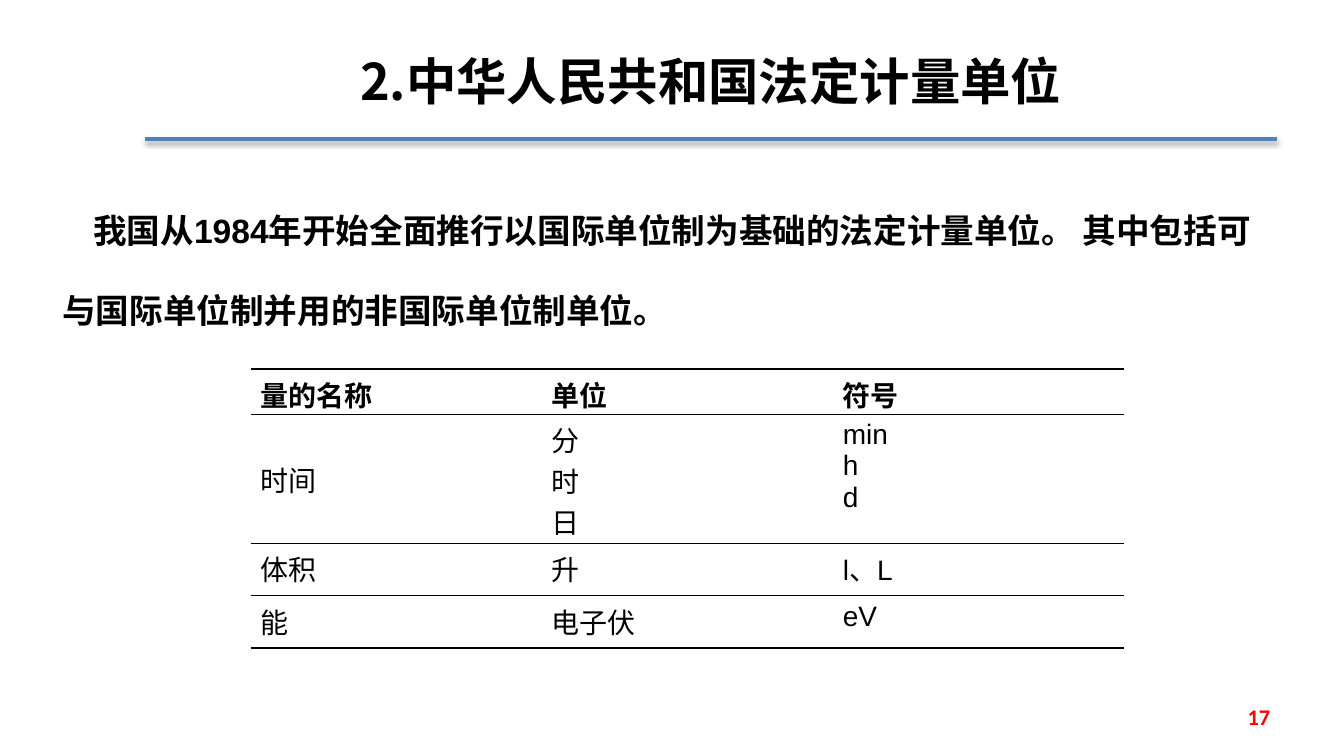
from dataclasses import dataclass

from lxml.etree import SubElement
from pptx import Presentation
from pptx.dml.color import RGBColor
from pptx.enum.shapes import MSO_CONNECTOR as Connector
from pptx.enum.text import MSO_ANCHOR as Anchor, PP_ALIGN as Align
from pptx.oxml import parse_xml
from pptx.oxml.ns import nsdecls, qn
from pptx.util import Cm, Pt


@dataclass(frozen=True)
class Theme:
    ink: str = "000000"
    rule: str = "4F81BD"
    accent: str = "FF0000"
    cjk_font: str = "Noto Sans CJK SC"
    body_font: str = "Arial"
    number_font: str = "Calibri"
    title_size: int = 36
    body_size: int = 24
    table_size: int = 20
    number_size: int = 16
    thick: float = 2.25
    thin: float = 1


class SlideBuilder:
    def __init__(self, slide, theme):
        self.slide, self.theme = slide, theme

    def style(self, paragraph, font, size, color, bold=True):
        paragraph.font.name = font
        paragraph.font.size = Pt(size)
        paragraph.font.bold = bold
        paragraph.font.color.rgb = RGBColor.from_string(color)
        properties = paragraph.font._element
        SubElement(properties, qn("a:ea")).set("typeface", self.theme.cjk_font)

    def title(self, text, left, top, width, height):
        title = self.slide.shapes.title
        title.left, title.top, title.width, title.height = left, top, width, height
        title.text_frame.text = text
        title.text_frame.vertical_anchor = Anchor.MIDDLE
        heading = title.text_frame.paragraphs[0]
        heading.alignment = Align.CENTER
        heading.line_spacing = 1.1
        self.style(heading, self.theme.cjk_font, self.theme.title_size, self.theme.ink)

    def rule(self, left, top, width):
        line = self.slide.shapes.add_connector(
            Connector.STRAIGHT, left, top, left + width, top)
        line.line.color.rgb = RGBColor.from_string(self.theme.rule)
        line.line.width = Pt(3)
        line._element.spPr.append(parse_xml(
            f'<a:effectLst {nsdecls("a")}><a:outerShdw blurRad="{Pt(3.1)}" '
            f'dist="{Pt(1.8)}" dir="5400000" rotWithShape="0">'
            '<a:srgbClr val="000000"><a:alpha val="35000"/></a:srgbClr>'
            '</a:outerShdw></a:effectLst>'))

    def text(self, text, left, top, width, height, font, size, color,
             align=Align.LEFT, anchor=Anchor.TOP, spacing=1.0, indent=0):
        frame = self.slide.shapes.add_textbox(left, top, width, height).text_frame
        frame.word_wrap = True
        frame.vertical_anchor = anchor
        frame.text = text
        paragraph = frame.paragraphs[0]
        paragraph.alignment = align
        paragraph.line_spacing = spacing
        if indent:
            paragraph._p.get_or_add_pPr().set("indent", str(indent))
        self.style(paragraph, font, size, color)

    def border(self, cell, side, width):
        line = SubElement(cell._tc.get_or_add_tcPr(), qn(f"a:ln{side}"))
        line.set("w", str(Pt(width)))
        if width:
            fill = SubElement(line, qn("a:solidFill"))
            SubElement(fill, qn("a:srgbClr")).set("val", self.theme.ink)
        else:
            SubElement(line, qn("a:noFill"))

    def table(self, rows, heights, left, top, width):
        theme = self.theme
        table = self.slide.shapes.add_table(
            len(rows), len(rows[0]), left, top, width, sum(heights)).table
        table.first_row = table.horz_banding = False
        last = len(rows) - 1
        for r, (row, height) in enumerate(zip(rows, heights)):
            table.rows[r].height = height
            for c, text in enumerate(row):
                cell = table.cell(r, c)
                cell.text = text
                for paragraph in cell.text_frame.paragraphs:
                    self.style(paragraph, theme.body_font, theme.table_size,
                               theme.ink, bold=r == 0)
                borders = {"L": 0, "R": 0,
                           "T": theme.thick if r == 0 else theme.thin,
                           "B": theme.thick if r == last else theme.thin}
                for side, weight in borders.items():
                    self.border(cell, side, weight)
                cell.fill.background()
        return table


def main():
    theme = Theme()
    deck = Presentation()
    deck.slide_width, deck.slide_height = Cm(33.87), Cm(19.05)
    slide = deck.slides.add_slide(deck.slide_layouts[5])
    builder = SlideBuilder(slide, theme)

    # Heading and its rule
    builder.rule(Cm(3.66), Cm(3.51), Cm(28.52))
    builder.title("2.中华人民共和国法定计量单位", Cm(3.66), Cm(0.36), Cm(28.5), Cm(3.18))

    # Page number
    builder.text("17", Cm(26.34), Cm(17.55), Cm(5.92), Cm(1.02),
                 theme.number_font, theme.number_size, theme.accent,
                 align=Align.RIGHT, anchor=Anchor.MIDDLE)

    # Units used alongside the SI
    units = [
        ("量的名称", "单位", "符号"),
        ("时间", "分\n时\n日", "min\nh\nd"),
        ("体积", "升", "l、L"),
        ("能", "电子伏", "eV"),
    ]
    heights = [Cm(1.14), Cm(3.25), Cm(1.32), Cm(1.32)]
    unit_table = builder.table(units, heights, Cm(6.32), Cm(9.3), Cm(22))
    unit_table.cell(1, 0).vertical_anchor = Anchor.MIDDLE

    # Introduction
    builder.text("我国从1984年开始全面推行以国际单位制为基础的法定计量单位。 "
                 "其中包括可与国际单位制并用的非国际单位制单位。",
                 Cm(1.32), Cm(4.14), Cm(30.61), Cm(3.99),
                 theme.body_font, theme.body_size, theme.ink,
                 spacing=2.0, indent=Cm(0.78))

    deck.save("out.pptx")


if __name__ == "__main__":
    main()
